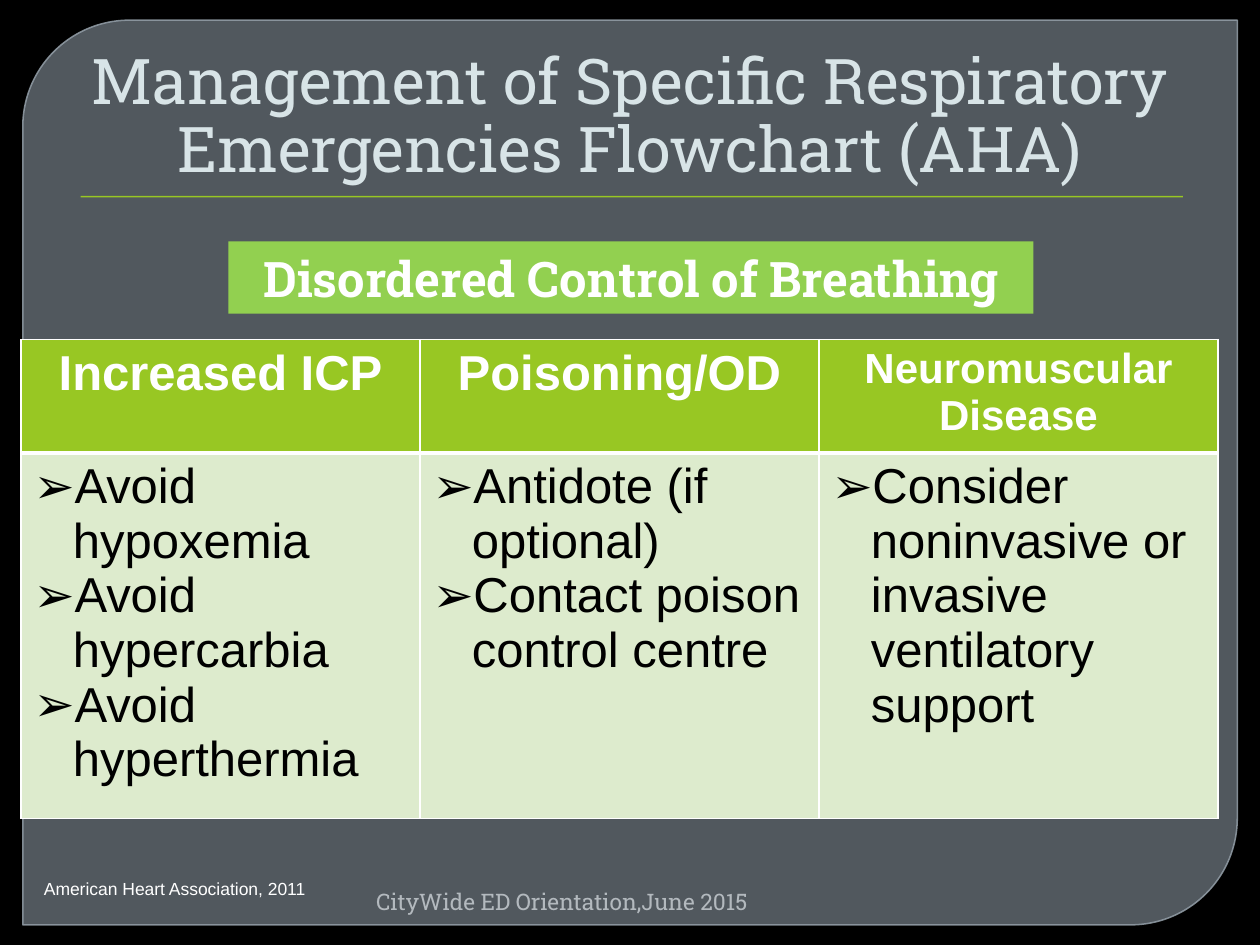
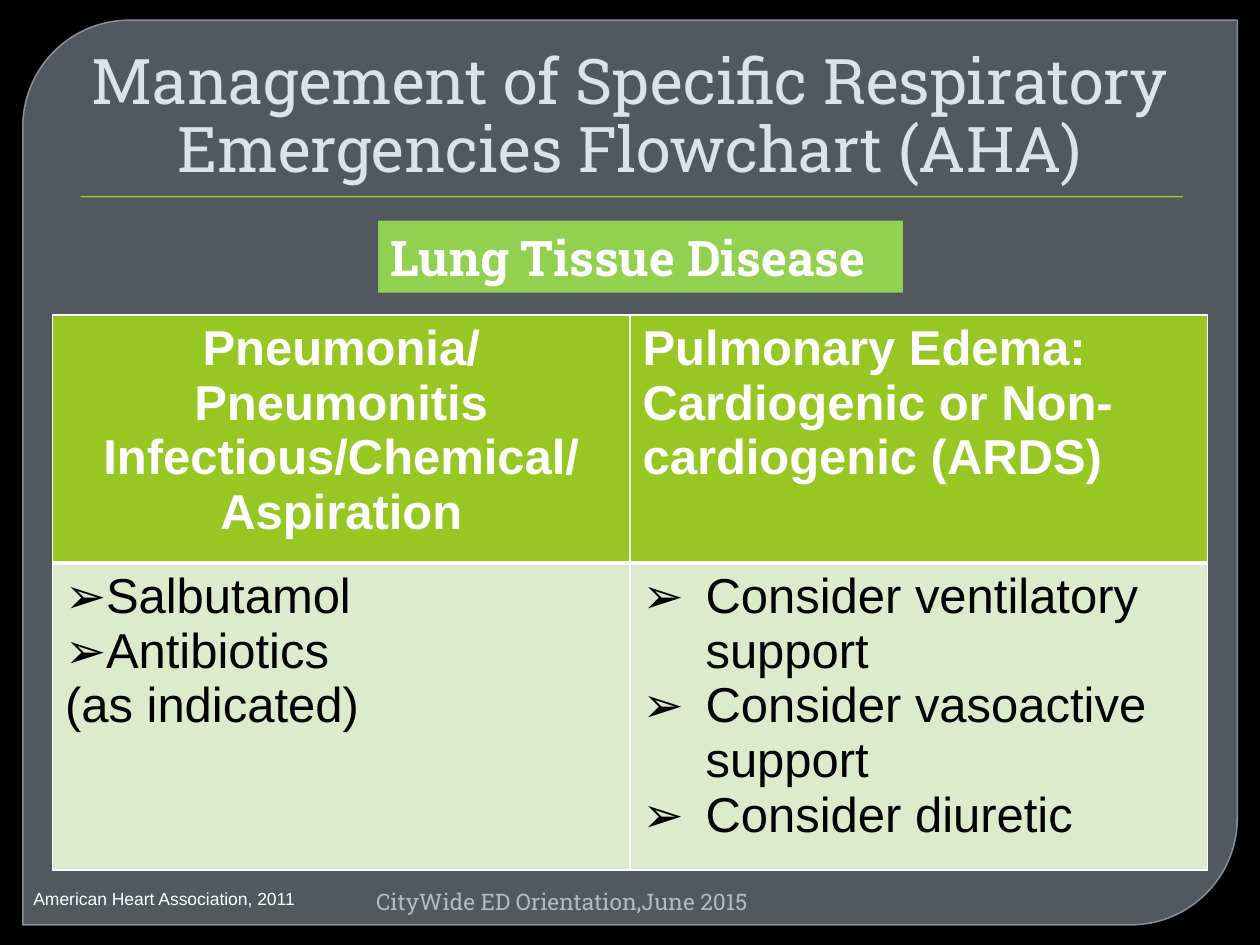
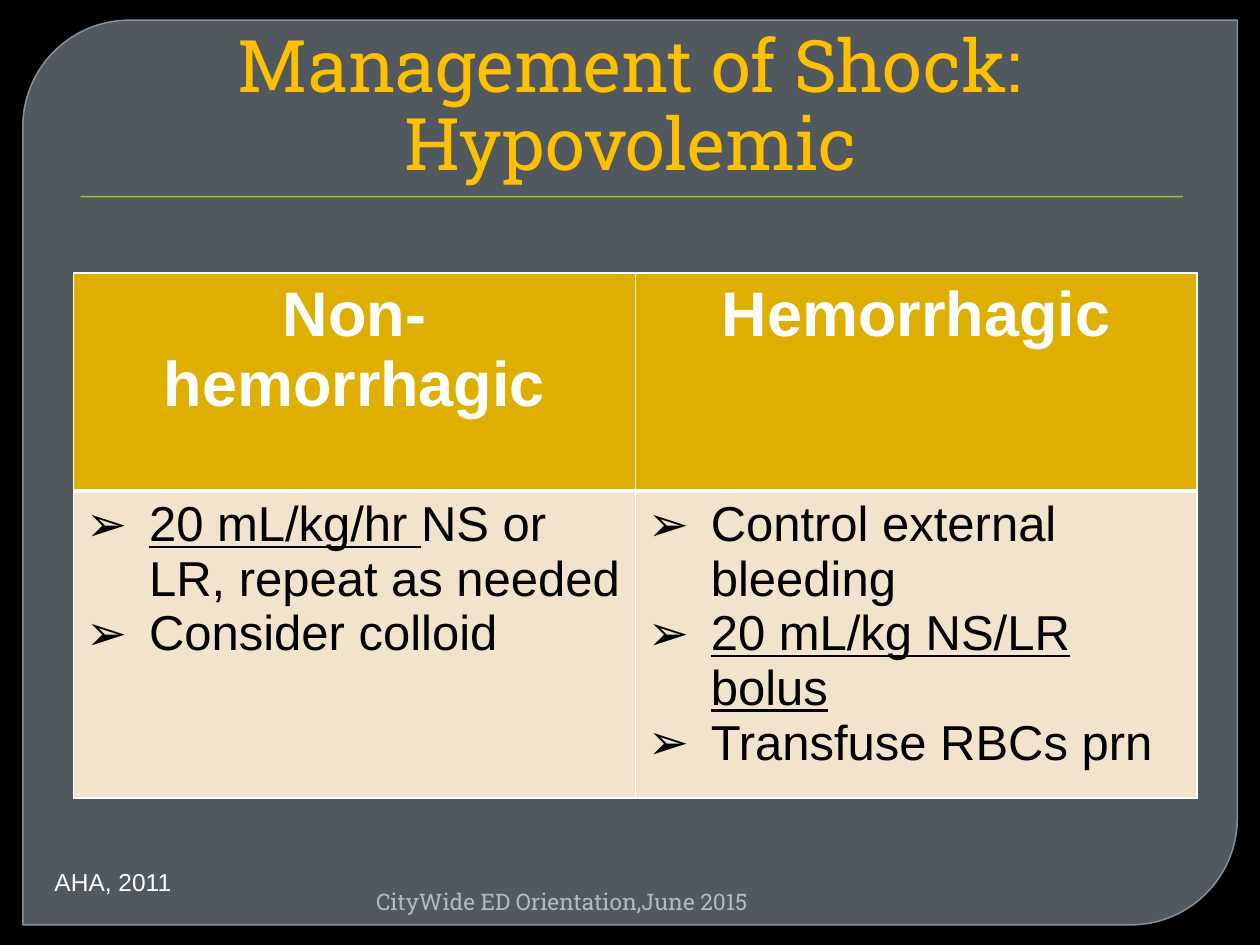
from dataclasses import dataclass
from typing import Union

from lxml.etree import SubElement
from pptx import Presentation
from pptx.dml.color import RGBColor
from pptx.enum.shapes import MSO_SHAPE
from pptx.enum.text import MSO_ANCHOR, MSO_AUTO_SIZE, PP_ALIGN
from pptx.oxml.ns import qn
from pptx.util import Pt

COLORS = {
    "background": "000000",
    "panel": "7D8891",
    "panel edge": "919CA5",
    "rule": "98C723",
    "title": "D8E4E7",
    "shock title": "FFC000",
    "footer": "B3B9BE",
    "topic": "92D050",
    "white": "FFFFFF",
    "black": "000000",
    "green head": "98C723",
    "green body": "DDEBCD",
    "gold head": "DEAE00",
    "gold body": "F2E3CC",
}
SLAB, SANS = "Roboto Slab", "Arial"
NARROW, WIDE = 22.5, 36
FOOTER = "CityWide ED Orientation,June 2015"
AHA_TITLE = "Management of Specific Respiratory Emergencies Flowchart (AHA)"
AHA_CITATION = "American Heart Association, 2011"


@dataclass
class Line:
    runs: Union[str, list]
    hang: float = 0
    align: PP_ALIGN = PP_ALIGN.LEFT
    size: float = 28


def color(name):
    return RGBColor.from_string(COLORS[name])


def write(frame, lines, font=SANS, ink="white", bold=False, spacing=None):
    frame.word_wrap = True
    for index, line in enumerate(lines):
        paragraph = frame.add_paragraph() if index else frame.paragraphs[0]
        paragraph.alignment = line.align
        if spacing:
            paragraph.line_spacing = spacing
        if line.hang:
            properties = paragraph._p.get_or_add_pPr()
            properties.set("marL", str(Pt(line.hang)))
            properties.set("indent", str(-Pt(line.hang)))
            SubElement(properties, qn("a:buFont")).set("typeface", SANS)
            SubElement(properties, qn("a:buChar")).set("char", "➢")
        runs = [(line.runs, False)] if isinstance(line.runs, str) else line.runs
        for text, underlined in runs:
            run = paragraph.add_run()
            run.text = text
            run.font.name = font
            run.font.size = Pt(line.size)
            run.font.bold = bold
            run.font.underline = underlined
            run.font.color.rgb = color(ink)


def headings(*texts, size=28):
    return [Line(text, align=PP_ALIGN.CENTER, size=size) for text in texts]


def bullets(*texts, hang=WIDE):
    return [Line(text, hang) for text in texts]


class Deck:
    def __init__(self):
        self.presentation = Presentation()
        self.presentation.slide_width = Pt(720)
        self.presentation.slide_height = Pt(540)
        self.layout = self.presentation.slide_layouts[5]
        self.layout.background.fill.solid()
        self.layout.background.fill.fore_color.rgb = color("background")
        self.slide = None

    def start(self, title, size=36, ink="title"):
        first = self.slide is None
        self.slide = self.presentation.slides.add_slide(self.layout)
        if first:
            self.decorate_layout()
        heading = self.slide.shapes.title
        heading.left, heading.top = Pt(36), Pt(20)
        heading.width, heading.height = Pt(648), Pt(90)
        frame = heading.text_frame
        frame.auto_size = MSO_AUTO_SIZE.NONE
        frame.vertical_anchor = MSO_ANCHOR.BOTTOM
        write(frame, headings(title, size=size), font=SLAB, ink=ink, spacing=0.9)
        self.text(102, 504, 332, 21.6,
                  Line(FOOTER, align=PP_ALIGN.RIGHT, size=13), font=SLAB, ink="footer")

    def decorate_layout(self):
        panel = self.box(13, 11.5, 694, 517, "panel", MSO_SHAPE.ROUND_2_DIAG_RECTANGLE)
        panel.adjustments[0], panel.adjustments[1] = 0.118, 0
        panel.line.color.rgb = color("panel edge")
        panel.line.width = Pt(0.87)
        for tint, alpha in zip(panel._element.iter(qn("a:srgbClr")), (65000, 88000)):
            SubElement(tint, qn("a:alpha")).set("val", str(alpha))
        rule = self.box(46, 112, 630, 0.8, "rule")
        for index, shape in enumerate((panel, rule), 2):
            self.layout.shapes._spTree.insert(index, shape._element)

    def box(self, left, top, width, height, fill, kind=MSO_SHAPE.RECTANGLE):
        shape = self.slide.shapes.add_shape(kind, Pt(left), Pt(top), Pt(width), Pt(height))
        shape.shadow.inherit = False
        shape.fill.solid()
        shape.fill.fore_color.rgb = color(fill)
        shape.line.fill.background()
        return shape

    def text(self, left, top, width, height, line, **style):
        area = self.slide.shapes.add_textbox(Pt(left), Pt(top), Pt(width), Pt(height))
        write(area.text_frame, [line], **style)

    def topic(self, left, top, width, line):
        label = self.box(left, top, width, 41.2, "topic")
        write(label.text_frame, [line], font=SLAB, bold=True)

    def table(self, left, top, width, heights, head, body, palette):
        rows = (head, body)
        grid = self.slide.shapes.add_table(
            len(rows), len(head), Pt(left), Pt(top), Pt(width), Pt(sum(heights))).table
        for column in grid.columns:
            column.width = Pt(width / len(head))
        for index, (cells, height, part) in enumerate(zip(rows, heights, ("head", "body"))):
            grid.rows[index].height = Pt(height)
            is_head = part == "head"
            for column, lines in enumerate(cells):
                cell = grid.cell(index, column)
                self.borders(cell, top=1 if is_head else 3, bottom=3 if is_head else 1)
                cell.fill.solid()
                cell.fill.fore_color.rgb = color(f"{palette} {part}")
                write(cell.text_frame, lines, ink="white" if is_head else "black", bold=is_head)

    def borders(self, cell, top, bottom):
        properties = cell._tc.get_or_add_tcPr()
        for side, weight in zip("LRTB", (1, 1, top, bottom)):
            edge = SubElement(properties, qn(f"a:ln{side}"), w=str(Pt(weight)))
            fill = SubElement(edge, qn("a:solidFill"))
            SubElement(fill, qn("a:srgbClr"), val=COLORS["white"])


def breathing_slide(deck):
    deck.start(AHA_TITLE)
    deck.topic(130.5, 138, 460, Line("Disordered Control of Breathing", align=PP_ALIGN.CENTER))
    deck.table(
        12, 194, 684, (64.8, 208.8),
        [headings("Increased ICP"), headings("Poisoning/OD"),
         headings("Neuromuscular Disease", size=24)],
        [bullets("Avoid hypoxemia", "Avoid hypercarbia", "Avoid hyperthermia", hang=NARROW),
         bullets("Antidote (if optional)", "Contact poison control centre", hang=NARROW),
         bullets("Consider noninvasive or invasive ventilatory support", hang=NARROW)],
        "green")
    deck.text(18, 498, 170, 19.4, Line(AHA_CITATION, size=10))


def lung_slide(deck):
    deck.start(AHA_TITLE)
    deck.topic(216, 126, 300, Line("Lung Tissue Disease"))
    deck.table(
        30, 180, 660, (141.8, 175),
        [headings("Pneumonia/", "Pneumonitis", "Infectious/Chemical/", "Aspiration"),
         [Line("Pulmonary Edema:"), Line("Cardiogenic or Non-cardiogenic (ARDS)")]],
        [bullets("Salbutamol", "Antibiotics", hang=NARROW) + [Line("(as indicated)")],
         bullets("Consider ventilatory support", "Consider vasoactive support",
                 "Consider diuretic")],
        "green")
    deck.text(12, 504, 168, 19.4, Line(AHA_CITATION, size=10))


def shock_slide(deck):
    deck.start("Management of Shock: Hypovolemic", size=41.4, ink="shock title")
    deck.table(
        42, 156, 642, (124.6, 163.4),
        [headings("Non-", "hemorrhagic", size=36), headings("Hemorrhagic", size=36)],
        [bullets([("20 mL/kg/hr ", True), ("NS or LR, repeat as needed", False)],
                 "Consider colloid"),
         bullets("Control external bleeding", [("20 mL/kg NS/LR bolus", True)],
                 "Transfuse RBCs prn")],
        "gold")
    deck.text(24, 492, 84, 24.5, Line("AHA, 2011", size=14))


def main():
    deck = Deck()
    for build in (breathing_slide, lung_slide, shock_slide):
        build(deck)
    deck.presentation.save("out.pptx")


if __name__ == "__main__":
    main()
